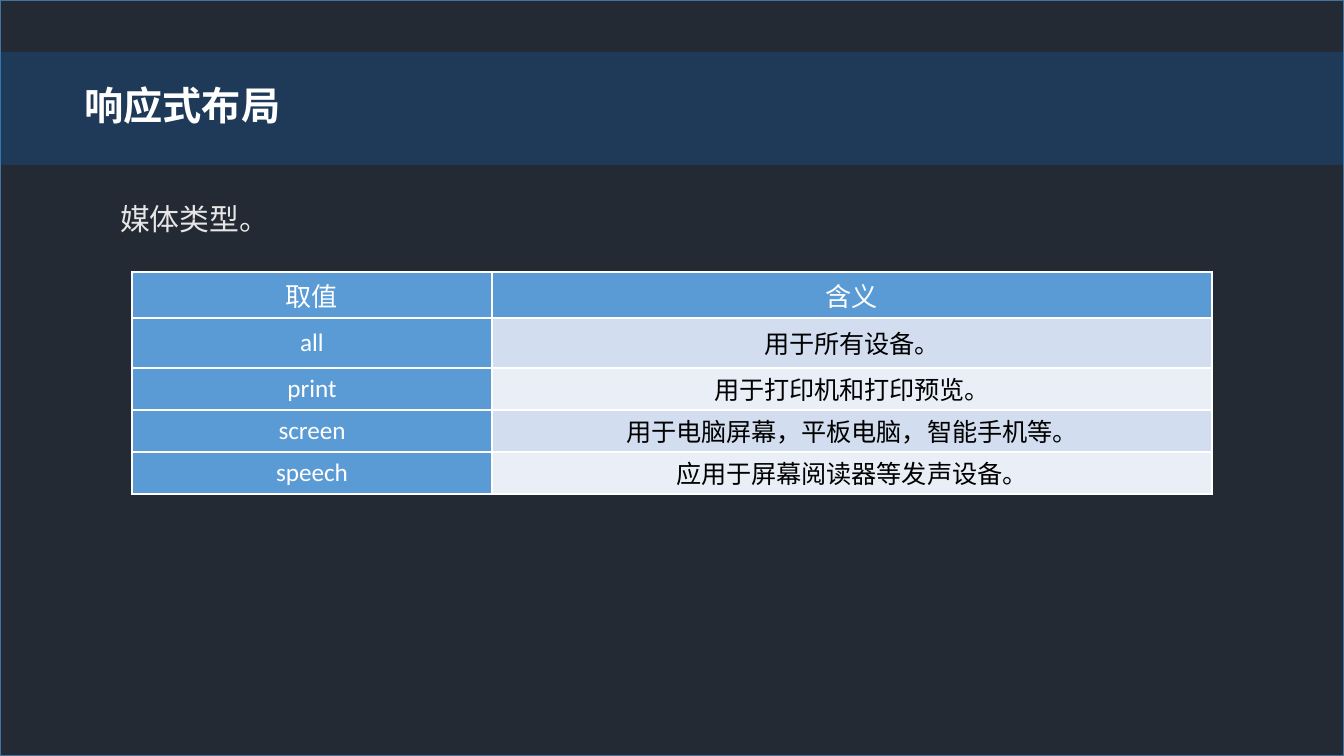
"""Builds the responsive layout slide that lists the CSS media types."""
from dataclasses import dataclass

from lxml import etree
from pptx import Presentation
from pptx.dml.color import RGBColor
from pptx.enum.shapes import MSO_SHAPE
from pptx.enum.text import MSO_ANCHOR, PP_ALIGN
from pptx.oxml.ns import qn
from pptx.util import Pt

RECTANGLE = MSO_SHAPE.RECTANGLE
MIDDLE = MSO_ANCHOR.MIDDLE
LEFT, CENTER = PP_ALIGN.LEFT, PP_ALIGN.CENTER
BLANK_LAYOUT = 6
EMU_PER_PX = 914400 / 134.4
SLIDE_WIDTH, SLIDE_HEIGHT = 1344, 756
COLUMN_WIDTHS = (360, 720)
ROW_HEIGHTS = (46, 50, 42, 42, 42)
MEDIA_TYPES = (
    ("取值", "含义"),
    ("all", "用于所有设备。"),
    ("print", "用于打印机和打印预览。"),
    ("screen", "用于电脑屏幕，平板电脑，智能手机等。"),
    ("speech", "应用于屏幕阅读器等发声设备。"),
)


@dataclass(frozen=True)
class Theme:
    """Colours, fonts and type sizes of the slide."""

    background: str = "232A34"
    outline: str = "43739E"
    band: str = "137EEC"
    band_opacity: int = 20
    white: str = "FFFFFF"
    black: str = "000000"
    subtitle: str = "E7E6E6"
    accent: str = "5B9BD5"
    stripes: tuple = ("EAEFF7", "D2DEEF")
    latin_font: str = "Calibri"
    chinese_font: str = "Noto Sans CJK SC"
    title_size: float = 21
    subtitle_size: float = 16
    header_size: float = 14
    body_size: float = 13.5


THEME = Theme()


def px(length):
    """Convert pixels to EMU."""
    return round(length * EMU_PER_PX)


def paint(fill, color):
    """Give a fill one solid colour."""
    fill.solid()
    fill.fore_color.rgb = RGBColor.from_string(color)


def add_panel(slide, top, height, color, outline=None, opacity=100):
    """Add a rectangle as wide as the slide."""
    shape = slide.shapes.add_shape(
        RECTANGLE, 0, px(top), px(SLIDE_WIDTH), px(height))
    shape.shadow.inherit = False
    paint(shape.fill, color)
    if opacity < 100:
        color_element = shape.fill._xPr.find(".//" + qn("a:srgbClr"))
        etree.SubElement(color_element, qn("a:alpha"), val=str(opacity * 1000))
    if outline:
        paint(shape.line.fill, outline)
        shape.line.width = Pt(1)
    else:
        shape.line.fill.background()


def write(frame, text, size, color, font=THEME.latin_font, bold=False, align=LEFT):
    """Write one styled paragraph into a text frame."""
    paragraph = frame.paragraphs[0]
    paragraph.text = text
    paragraph.alignment = align
    paragraph.font.name = font
    paragraph.font.size = Pt(size)
    paragraph.font.bold = bold
    paragraph.font.color.rgb = RGBColor.from_string(color)
    defaults = paragraph._p.pPr.find(qn("a:defRPr"))
    etree.SubElement(defaults, qn("a:ea"), typeface=THEME.chinese_font)


def add_text(slide, left, top, width, height, text, size, color, **style):
    """Add a wrapping text box."""
    frame = slide.shapes.add_textbox(
        px(left), px(top), px(width), px(height)).text_frame
    frame.word_wrap = True
    write(frame, text, size, color, **style)


def add_borders(cell, color):
    """Draw a one-point line on each side of a cell."""
    properties = cell._tc.get_or_add_tcPr()
    for side in ("a:lnL", "a:lnR", "a:lnT", "a:lnB"):
        line = etree.SubElement(properties, qn(side), w=str(Pt(1)))
        fill = etree.SubElement(line, qn("a:solidFill"))
        etree.SubElement(fill, qn("a:srgbClr"), val=color)


def fill_cell(cell, text, row, column):
    """Style a cell by its place in the table and write its text."""
    in_header, in_accent = row == 0, row == 0 or column == 0
    cell.vertical_anchor = MIDDLE
    cell.margin_left = cell.margin_right = px(16)
    cell.margin_top = cell.margin_bottom = 0
    add_borders(cell, THEME.white)
    paint(cell.fill, THEME.accent if in_accent else THEME.stripes[row % 2])
    write(cell.text_frame, text,
          THEME.header_size if in_header else THEME.body_size,
          THEME.white if in_accent else THEME.black, align=CENTER)


def add_media_table(slide, left, top):
    """Add the table of media types."""
    table = slide.shapes.add_table(
        len(ROW_HEIGHTS), len(COLUMN_WIDTHS), px(left), px(top),
        px(sum(COLUMN_WIDTHS)), px(sum(ROW_HEIGHTS))).table
    for column, width in zip(table.columns, COLUMN_WIDTHS):
        column.width = px(width)
    for row, height in zip(table.rows, ROW_HEIGHTS):
        row.height = px(height)
    for row, texts in enumerate(MEDIA_TYPES):
        for column, text in enumerate(texts):
            fill_cell(table.cell(row, column), text, row, column)


def main():
    """Build and save the slide."""
    presentation = Presentation()
    presentation.slide_width = px(SLIDE_WIDTH)
    presentation.slide_height = px(SLIDE_HEIGHT)
    slide = presentation.slides.add_slide(
        presentation.slide_layouts[BLANK_LAYOUT])
    add_panel(slide, 0, SLIDE_HEIGHT, THEME.background, outline=THEME.outline)
    add_panel(slide, 52, 113, THEME.band, opacity=THEME.band_opacity)
    add_text(slide, 107, 194, 1112, 50, "媒体类型。", THEME.subtitle_size,
             THEME.subtitle, font=THEME.chinese_font)
    add_text(slide, 71, 75, 1236, 60, "响应式布局", THEME.title_size,
             THEME.white, bold=True)
    add_media_table(slide, 132, 272)
    presentation.save("out.pptx")


if __name__ == "__main__":
    main()
